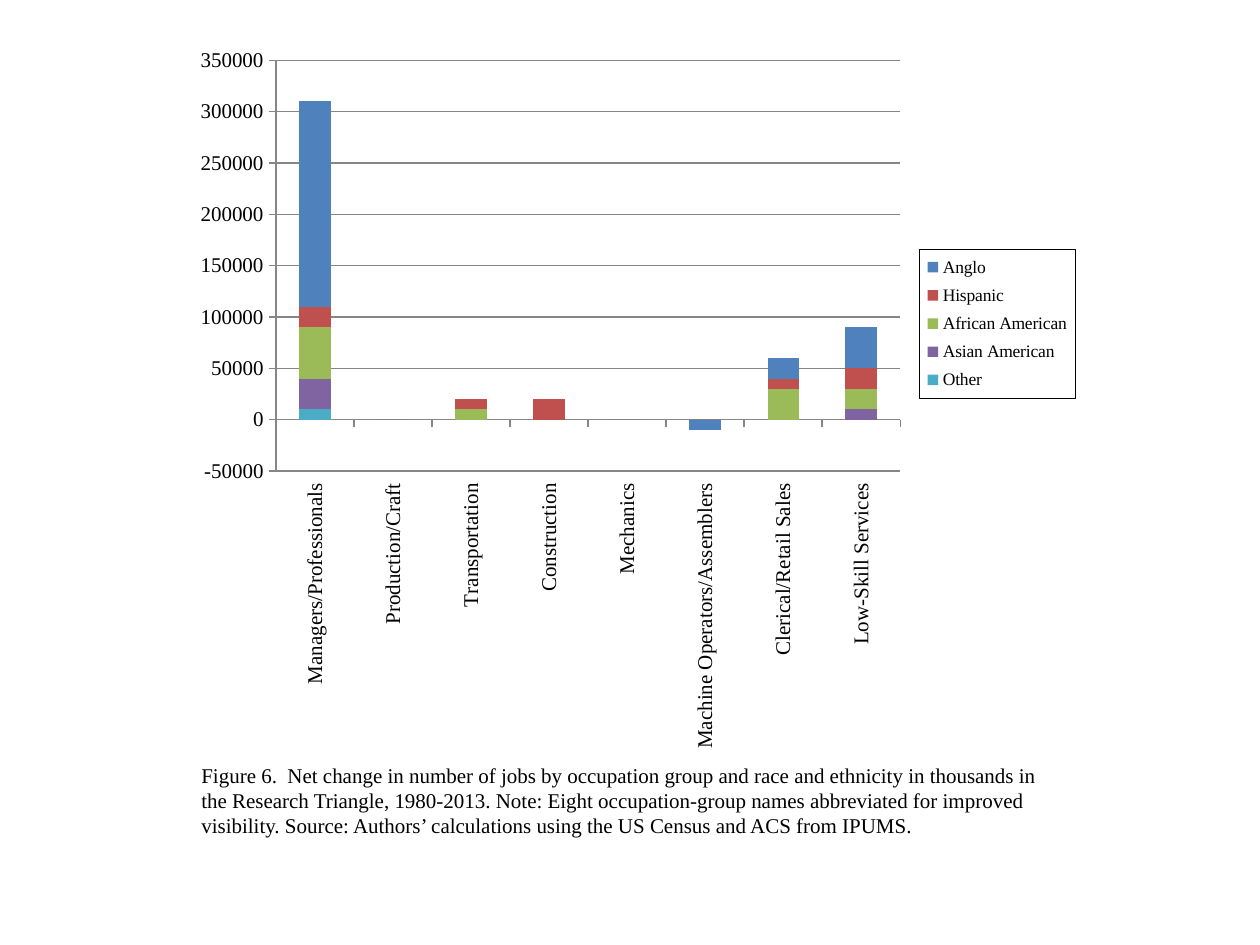
from dataclasses import dataclass

from lxml import etree
from pptx import Presentation
from pptx import util as u
from pptx.chart.data import CategoryChartData
from pptx.dml.color import RGBColor
from pptx.enum import chart as c
from pptx.enum import text
from pptx.oxml import parse_xml
from pptx.oxml.ns import nsdecls, qn

PIXEL = u.Inches(1) / 126
FONT = "Times New Roman"
COLORS = {
    "text": "000000", "axis": "868686", "Other": "4BACC6", "Asian American": "8064A2",
    "African American": "9BBB59", "Hispanic": "C0504D", "Anglo": "4F81BD",
}
OCCUPATIONS = [
    "Managers/Professionals", "Production/Craft", "Transportation", "Construction",
    "Mechanics", "Machine Operators/Assemblers", "Clerical/Retail Sales", "Low-Skill Services",
]
CAPTION = (
    "Figure 6.  Net change in number of jobs by occupation group and race and ethnicity "
    "in thousands in the Research Triangle, 1980-2013. Note: Eight occupation-group names "
    "abbreviated for improved visibility. Source: Authors’ calculations using the US Census "
    "and ACS from IPUMS."
)


@dataclass
class Group:
    """Net change in jobs for one group of workers."""
    name: str
    jobs: list[int]


@dataclass
class Box:
    """A rectangle in pixels."""
    left: int
    top: int
    width: int
    height: int

    def emu(self) -> list[int]:
        """Return the rectangle in EMU."""
        return [round(n * PIXEL) for n in (self.left, self.top, self.width, self.height)]


GROUPS = [
    Group("Other", [10000, 0, 0, 0, 0, 0, 0, 0]),
    Group("Asian American", [30000, 0, 0, 0, 0, 0, 0, 10000]),
    Group("African American", [50000, 0, 10000, 0, 0, 0, 30000, 20000]),
    Group("Hispanic", [20000, 0, 10000, 20000, 0, 0, 10000, 20000]),
    Group("Anglo", [200000, 0, 0, 0, 0, -10000, 20000, 40000]),
]
CHART = Box(175, 32, 910, 743)
PLOT = Box(276, 60, 624, 411)
LEGEND = Box(919, 249, 156, 149)
NOTE = Box(189, 756, 882, 89)


def color(name: str) -> RGBColor:
    """Look up a colour."""
    return RGBColor.from_string(COLORS[name])


def style_font(font, size: int) -> None:
    """Set the common typeface and colour at one size."""
    font.name, font.size, font.bold = FONT, u.Pt(size), False
    font.color.rgb = color("text")


def style_line(line, name: str) -> None:
    """Draw a thin line in a named colour."""
    line.color.rgb = color(name)
    line.width = u.Pt(0.75)


def manual_layout(box: Box, inner: bool = False) -> etree.ElementBase:
    """Build a chart layout that places a part at a pixel rectangle."""
    target = '<c:layoutTarget val="inner"/>' if inner else ""
    places = {
        "x": (box.left - CHART.left) / CHART.width,
        "y": (box.top - CHART.top) / CHART.height,
        "w": box.width / CHART.width,
        "h": box.height / CHART.height,
    }
    modes = "".join(f'<c:{key}Mode val="edge"/>' for key in "xy")
    values = "".join(f'<c:{key} val="{value:.3f}"/>' for key, value in places.items())
    return parse_xml(f"<c:layout {nsdecls('c')}><c:manualLayout>{target}{modes}{values}"
                     "</c:manualLayout></c:layout>")


def style_axes(chart) -> None:
    """Format both axes and the gridlines."""
    for axis in (chart.category_axis, chart.value_axis):
        style_font(axis.tick_labels.font, 12)
        style_line(axis.format.line, "axis")
        axis.major_tick_mark = c.XL_TICK_MARK.OUTSIDE
        axis.minor_tick_mark = c.XL_TICK_MARK.NONE
    categories, values = chart.category_axis, chart.value_axis
    categories.tick_label_position = c.XL_TICK_LABEL_POSITION.LOW
    body = categories._element.find(f"{qn('c:txPr')}/{qn('a:bodyPr')}")
    body.set("rot", "-5400000")
    body.set("vert", "horz")
    values.minimum_scale, values.maximum_scale, values.major_unit = -50000, 350000, 50000
    values.has_major_gridlines = True
    style_line(values.major_gridlines.format.line, "axis")
    values.tick_labels.number_format = "General"
    values.tick_labels.number_format_is_linked = False


def style_legend(chart) -> None:
    """Place a framed legend on the right."""
    chart.has_legend = True
    legend = chart.legend
    legend.position = c.XL_LEGEND_POSITION.RIGHT
    legend.include_in_layout = False
    style_font(legend.font, 10)
    element = legend._element
    for layout in element.findall(qn("c:layout")):
        element.remove(layout)
    element.find(qn("c:legendPos")).addnext(manual_layout(LEGEND))
    element.find(qn("c:txPr")).addprevious(parse_xml(
        f"<c:spPr {nsdecls('c', 'a')}><a:ln w=\"3175\"><a:solidFill>"
        f"<a:srgbClr val=\"{COLORS['text']}\"/></a:solidFill></a:ln></c:spPr>"))


def add_jobs_chart(slide) -> None:
    """Add the stacked columns of job changes."""
    data = CategoryChartData(number_format="General")
    data.categories = OCCUPATIONS
    for group in GROUPS:
        data.add_series(group.name, group.jobs)
    chart = slide.shapes.add_chart(c.XL_CHART_TYPE.COLUMN_STACKED, *CHART.emu(), data).chart
    chart.has_title = False
    style_font(chart.font, 10)
    plot = chart.plots[0]
    plot.gap_width, plot.overlap, plot.vary_by_categories = 150, 100, False
    for series in plot.series:
        series.invert_if_negative = False
        series.format.fill.solid()
        series.format.fill.fore_color.rgb = color(series.name)
    style_axes(chart)
    style_legend(chart)
    area = chart._chartSpace.chart.plotArea
    for layout in area.findall(qn("c:layout")):
        area.remove(layout)
    area.insert(0, manual_layout(PLOT, inner=True))


def add_caption(slide) -> None:
    """Add the figure caption."""
    frame = slide.shapes.add_textbox(*NOTE.emu()).text_frame
    frame.word_wrap = True
    frame.auto_size = text.MSO_AUTO_SIZE.SHAPE_TO_FIT_TEXT
    run = frame.paragraphs[0].add_run()
    run.text = CAPTION
    style_font(run.font, 12)


presentation = Presentation()
presentation.slide_width, presentation.slide_height = u.Inches(10), u.Inches(7.5)
figure_slide = presentation.slides.add_slide(presentation.slide_layouts[6])
add_caption(figure_slide)
add_jobs_chart(figure_slide)
presentation.save("out.pptx")
